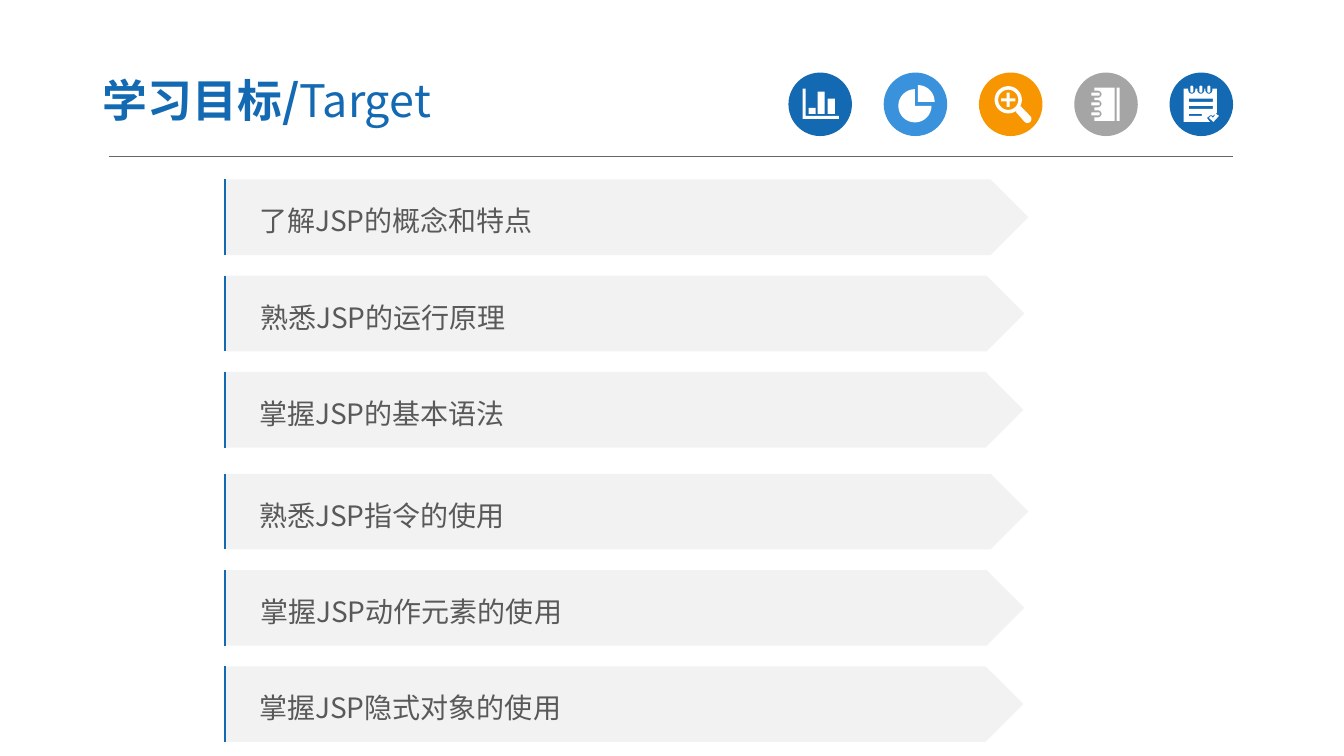
from dataclasses import dataclass
from math import cos, radians, sin

from lxml import etree
from pptx import Presentation
from pptx.dml.color import RGBColor
from pptx.enum.shapes import MSO_CONNECTOR, MSO_SHAPE
from pptx.enum.text import MSO_ANCHOR, PP_ALIGN
from pptx.oxml.ns import qn
from pptx.util import Inches, Pt

DISC, ARROW = MSO_SHAPE.OVAL, MSO_SHAPE.PENTAGON
STRAIGHT = MSO_CONNECTOR.STRAIGHT
MIDDLE, LEFT = MSO_ANCHOR.MIDDLE, PP_ALIGN.LEFT


@dataclass(frozen=True)
class Theme:
    font: str = "Noto Sans CJK SC"
    blue: str = "1369B2"
    sky: str = "3992DB"
    orange: str = "F79600"
    gray: str = "A5A5A5"
    rule: str = "666666"
    band: str = "F2F2F2"
    ink: str = "595959"
    white: str = "FFFFFF"
    title: int = 32
    body: int = 20


def box(x, y, w, h):
    return [(x, y), (x + w, y), (x + w, y + h), (x, y + h)]


def arc(x, y, r, start, end, steps=24):
    turns = [radians(start + (end - start) * i / steps) for i in range(steps + 1)]
    return [(x + r * cos(t), y + r * sin(t)) for t in turns]


def cross(x, y, arm, half):
    corner = [(half, -arm), (half, -half), (arm, -half)]
    points = []
    for _ in range(4):
        points += [(x + a, y + b) for a, b in corner]
        corner = [(-b, a) for a, b in corner]
    return points


def bars():
    axis = [(.14, .16), (.17, .16), (.17, .43), (.5, .43), (.5, .46), (.14, .46)]
    tops = [(.2, .35), (.29, .19), (.39, .26)]
    return [axis] + [box(x, y, .07, .41 - y) for x, y in tops]


def pie():
    return [[(.31, .33)] + arc(.31, .33, .165, 0, 270),
            [(.34, .29)] + arc(.34, .29, .165, 270, 360)]


def lens():
    handle = [(.365, .39), (.415, .335)] + arc(.48, .46, .04, -45, 135)
    rings = [arc(.29, .27, r, 0, 360, 48) for r in (.135, .1)]
    return rings + [cross(.29, .27, .07, .015), handle]


def book():
    rings = (.41, .31, .215)
    page = [(.2, .15), (.4, .15), (.4, .48), (.2, .48)]
    for y in rings:
        page += [(.2, y + .035)] + arc(.235, y, .035, 90, -90) + [(.2, y - .035)]
    return [page, box(.42, .15, .03, .33)] + [box(.17, y - .015, .08, .03) for y in rings]


def notes():
    clips = (.22, .31, .39)
    page = [(.14, .16)]
    for x in clips:
        page += [(x - .035, .16)] + arc(x, .175, .035, 180, 0) + [(x + .035, .16)]
    page += [(.47, .16), (.47, .4), (.43, .43), (.41, .42), (.37, .45), (.4, .49), (.14, .49)]
    tick = [(.39, .45), (.41, .43), (.43, .45), (.46, .41), (.49, .43), (.435, .49)]
    pins = [arc(x, .145, .015, 180, 360) + arc(x, .185, .015, 0, 180) for x in clips]
    lines = [box(.19, .26, .24, .03), box(.19, .33, .24, .03), box(.19, .41, .13, .02)]
    return [page, tick] + pins + lines


class Board:
    """Draws styled elements on the current slide."""

    def __init__(self, theme, slide):
        self.theme = theme
        self.shapes = slide.shapes

    def paint(self, shape, color):
        shape.fill.solid()
        shape.fill.fore_color.rgb = RGBColor.from_string(color)
        shape.line.fill.background()
        shape.shadow.inherit = False

    def shape(self, kind, x, y, w, h, color):
        shape = self.shapes.add_shape(kind, Inches(x), Inches(y), Inches(w), Inches(h))
        self.paint(shape, color)
        return shape

    def line(self, x, y, end_x, end_y, color, width):
        line = self.shapes.add_connector(
            STRAIGHT, Inches(x), Inches(y), Inches(end_x), Inches(end_y))
        line.line.color.rgb = RGBColor.from_string(color)
        line.line.width = Pt(width)
        etree.SubElement(line._element.spPr, qn("a:effectLst"))

    def run(self, para, text, size, color, bold=False):
        run = para.add_run()
        run.text = text
        font = run.font
        font.name, font.size, font.bold = self.theme.font, Pt(size), bold
        font.color.rgb = RGBColor.from_string(color)
        east = etree.SubElement(run._r.get_or_add_rPr(), qn("a:ea"))
        east.set("typeface", self.theme.font)

    def title(self, x, y, w, h, strong, plain):
        frame = self.shapes.add_textbox(Inches(x), Inches(y), Inches(w), Inches(h)).text_frame
        frame.word_wrap = True
        frame.vertical_anchor = MIDDLE
        frame.margin_left = frame.margin_right = Inches(.13)
        frame.margin_top = frame.margin_bottom = Inches(.07)
        para = frame.paragraphs[0]
        self.run(para, strong, self.theme.title, self.theme.blue, True)
        self.run(para, plain, self.theme.title, self.theme.blue)

    def icon(self, x, y, color, parts):
        self.shape(DISC, x, y, .63, .63, color)
        pen = None
        for part in parts:
            points = [(Inches(a), Inches(b)) for a, b in part]
            if pen is None:
                pen = self.shapes.build_freeform(*points[0])
            else:
                pen.move_to(*points[0])
            pen.add_line_segments(points[1:], close=True)
        self.paint(pen.convert_to_shape(Inches(x), Inches(y)), self.theme.white)

    def goal(self, x, y, w, text):
        band = self.shape(ARROW, x, y, w, .75, self.theme.band)
        frame = band.text_frame
        frame.word_wrap = True
        frame.vertical_anchor = MIDDLE
        frame.margin_left = Inches(.35)
        para = frame.paragraphs[0]
        para.alignment = LEFT
        para.line_spacing = 1.2
        self.run(para, text, self.theme.body, self.theme.ink)
        self.line(2.23, y, 2.23, y + .75, self.theme.blue, 1.5)


def main():
    deck = Presentation()
    deck.slide_width, deck.slide_height = Inches(13.33), Inches(7.5)
    theme = Theme()
    board = Board(theme, deck.slides.add_slide(deck.slide_layouts[6]))

    board.line(1.08, 1.55, 12.23, 1.55, theme.rule, .5)
    icons = [(theme.blue, bars), (theme.sky, pie), (theme.orange, lens),
             (theme.gray, book), (theme.blue, notes)]
    for i, (color, draw) in enumerate(icons):
        board.icon(7.82 + .945 * i, .72, color, draw())

    board.title(.89, .63, 5.22, .72, "学习目标/", "Target")

    goals = ["了解JSP的概念和特点", "熟悉JSP的运行原理", "掌握JSP的基本语法",
             "熟悉JSP指令的使用", "掌握JSP动作元素的使用", "掌握JSP隐式对象的使用"]
    spans = [(2.22, 7.98), (2.23, 7.93), (2.22, 7.93)]
    for i, text in enumerate(goals):
        block, row = divmod(i, len(spans))
        x, w = spans[row]
        board.goal(x, 1.78 + 2.92 * block + .955 * row, w, text)

    deck.save("out.pptx")


if __name__ == "__main__":
    main()
